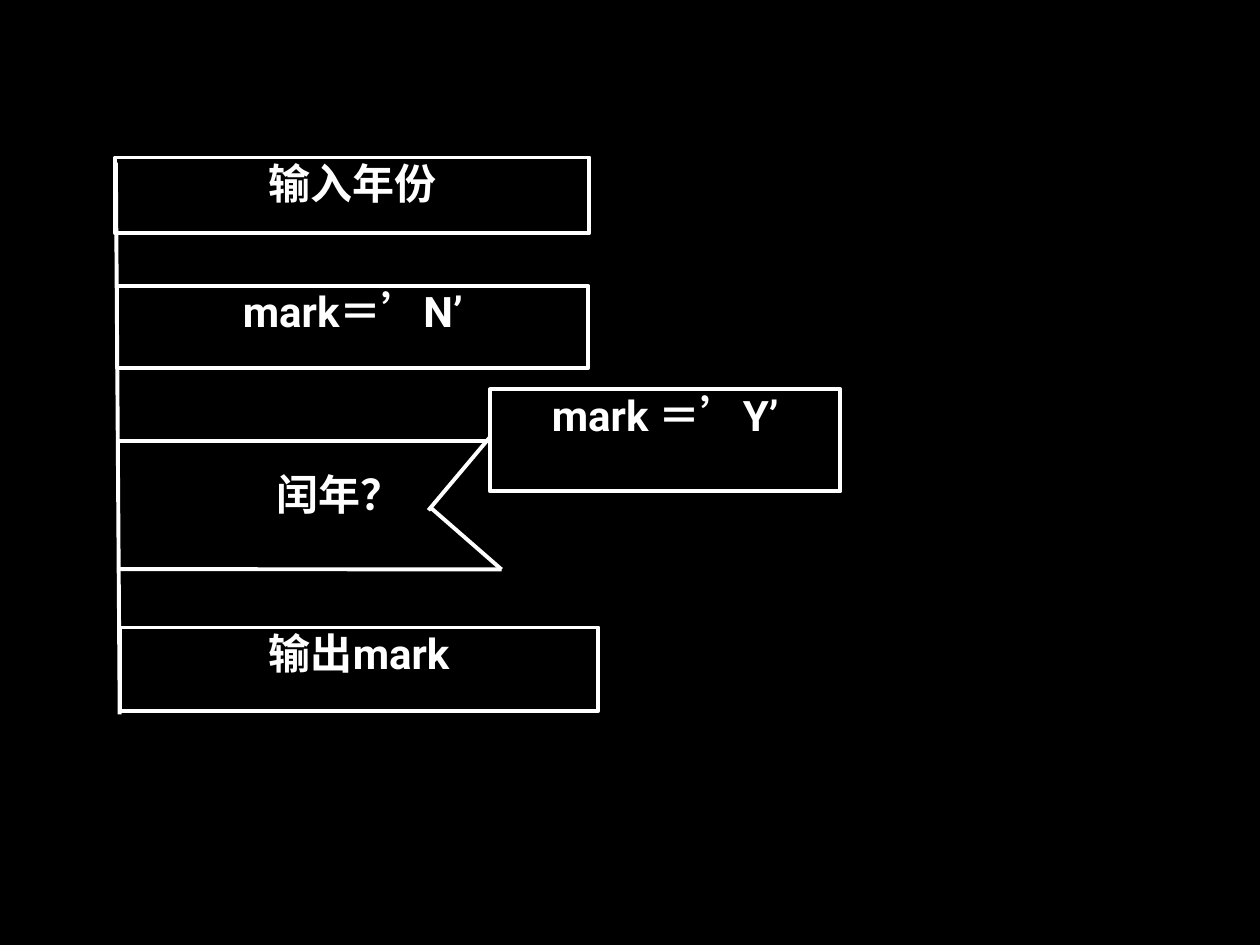
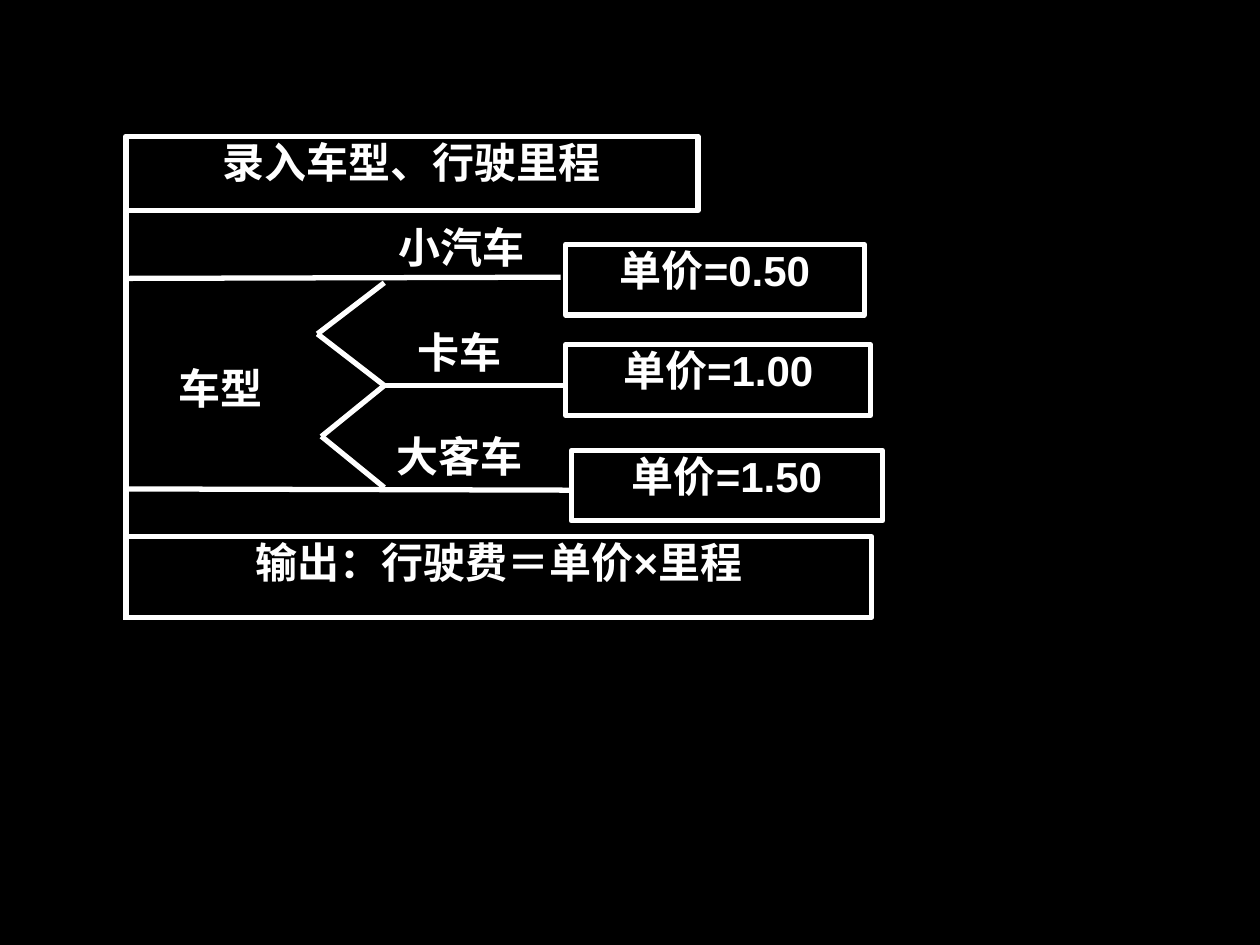
"""Two slides of program structure charts: leap year and toll fee."""
from lxml.etree import SubElement
from pptx import Presentation
from pptx.dml.color import RGBColor
from pptx.enum.shapes import MSO_CONNECTOR, MSO_SHAPE
from pptx.enum.text import MSO_ANCHOR, PP_ALIGN
from pptx.oxml.ns import qn
from pptx.util import Pt

BLACK = RGBColor(0x00, 0x00, 0x00)
WHITE = RGBColor(0xFF, 0xFF, 0xFF)


def add_text(slide, text, place, font, align=PP_ALIGN.CENTER, line=None):
    left, top, width, height = [Pt(v) for v in place]
    if line:
        shape = slide.shapes.add_shape(MSO_SHAPE.RECTANGLE, left, top, width, height)
        shape.shadow.inherit = False
        shape.fill.background()
        shape.line.color.rgb = WHITE
        shape.line.width = Pt(line)
    else:
        shape = slide.shapes.add_textbox(left, top, width, height)
    frame = shape.text_frame
    frame.margin_left = frame.margin_right = frame.margin_top = frame.margin_bottom = 0
    frame.word_wrap = True
    frame.vertical_anchor = MSO_ANCHOR.TOP
    frame.text = text
    para = frame.paragraphs[0]
    para.alignment = align
    run = para.runs[0].font
    run.name, run.size, run.bold = font, Pt(24), True
    run.color.rgb = WHITE


def add_line(slide, ends, width):
    line = slide.shapes.add_connector(MSO_CONNECTOR.STRAIGHT, *[Pt(v) for v in ends])
    line.line.color.rgb = WHITE
    line.line.width = Pt(width)
    SubElement(line._element.spPr, qn("a:effectLst"))


prs = Presentation()
prs.slide_width, prs.slide_height = Pt(720), Pt(540)
back = prs.slide_master.background.fill
back.solid()
back.fore_color.rgb = BLACK
blank = prs.slide_layouts[6]

leap = prs.slides.add_slide(blank)
for ends in [
    (66.2, 92.9, 68.4, 408.2),
    (66.2, 252, 280, 252),
    (280, 249.8, 244.8, 291.6),
    (68.4, 325.2, 286.6, 325.4),
    (286.6, 325.4, 246.2, 290.2),
]:
    add_line(leap, ends, 2.25)
for text, place in [
    ("输入年份", (66, 90, 270.7, 43.4)),
    ("mark＝’N’", (67, 163.4, 269.3, 46.8)),
    ("mark ＝’Y’", (280, 222.5, 200.2, 58.3)),
    ("输出mark", (68.4, 358.6, 273.6, 47.5)),
]:
    add_text(leap, text, place, "Roboto", line=2.25)
add_text(leap, "闰年？", (81.4, 267.8, 225.4, 43.2), "Roboto")

toll = prs.slides.add_slide(blank)
for ends in [
    (72, 77.8, 72, 354.2),
    (320.4, 158.4, 72, 159.1),
    (327.6, 280.1, 72.7, 279.4),
    (322.6, 220.3, 217.4, 220.3),
    (219.6, 161.6, 181.4, 190.8),
    (219.6, 220.3, 181.4, 190.8),
    (219.6, 220.3, 183.6, 249.5),
    (219.6, 278.6, 183.6, 249.3),
]:
    add_line(toll, ends, 3)
for text, place in [
    ("录入车型、行驶里程", (72, 77.8, 326.9, 42.5)),
    ("单价=0.50", (323.3, 139.7, 170.6, 40.3)),
    ("单价=1.00", (323.3, 197.1, 174.2, 40.3)),
    ("单价=1.50", (326.5, 257.4, 177.8, 40.3)),
    ("输出：行驶费＝单价×里程", (72, 306.7, 426.2, 46)),
]:
    add_text(toll, text, place, "Arial", line=3)
for text, place in [
    ("车型", (102.2, 207.4, 72.7, 44.6)),
    ("小汽车", (227.5, 126.7, 161.3, 38.2)),
    ("卡车", (238.3, 186.5, 70.6, 32.4)),
    ("大客车", (226.8, 246.2, 122.4, 38.2)),
]:
    add_text(toll, text, place, "Arial", PP_ALIGN.JUSTIFY)

prs.save("out.pptx")
